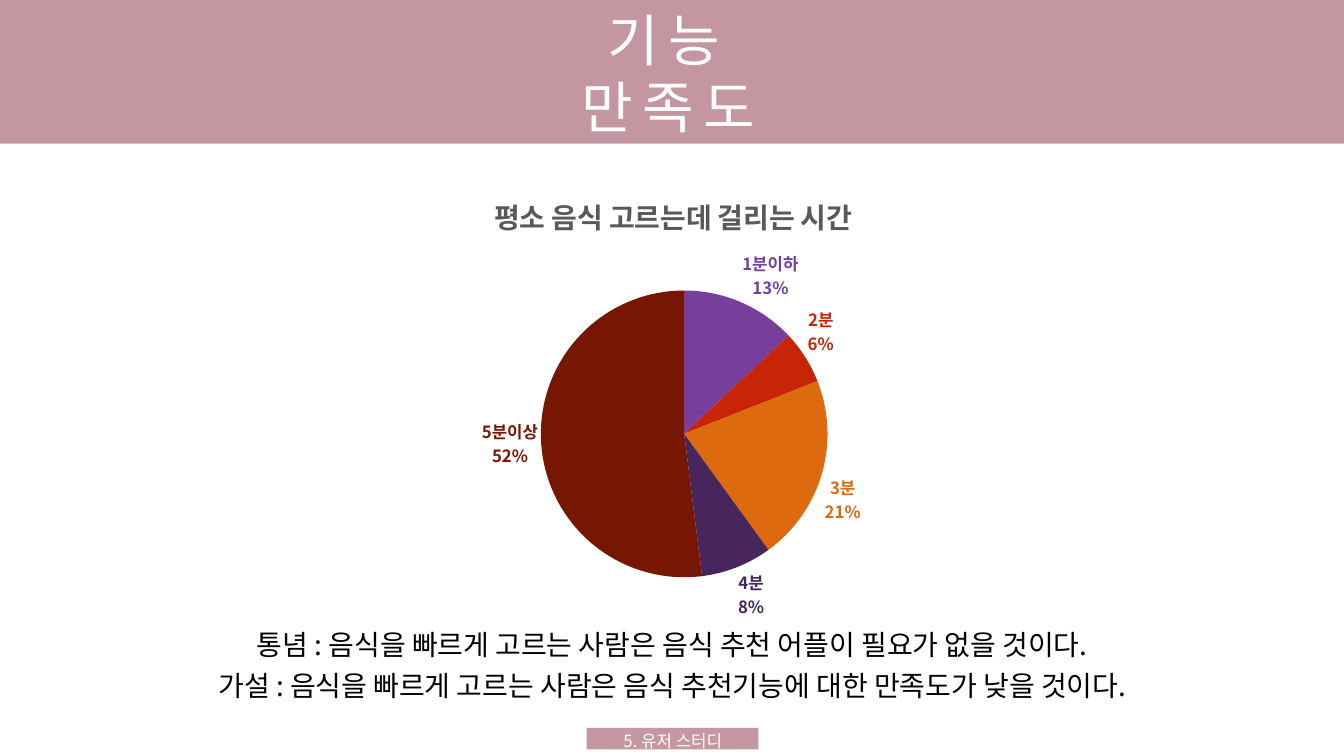
from lxml.etree import SubElement
from pptx import Presentation
from pptx.chart.data import CategoryChartData
from pptx.dml.color import RGBColor
from pptx.enum.chart import XL_CHART_TYPE, XL_LABEL_POSITION
from pptx.enum.shapes import MSO_SHAPE
from pptx.enum.text import MSO_ANCHOR, MSO_AUTO_SIZE, PP_ALIGN
from pptx.oxml.ns import qn
from pptx.util import Inches, Pt

WIDE, HIGH = 26.67, 15
FONT = "Noto Sans CJK KR"
ROSE = RGBColor(0xC4, 0x96, 0xA2)
PINK = RGBColor(0xC5, 0x97, 0xA2)
WHITE = RGBColor(0xFF, 0xFF, 0xFF)
BLACK = RGBColor(0, 0, 0)
GRAY = RGBColor(0x59, 0x59, 0x59)
# Answer, share in percent, slice colour
SLICES = [
    ("1분이하", 13, RGBColor(0x77, 0x3F, 0x9B)),
    ("2분", 6, RGBColor(0xC8, 0x25, 0x06)),
    ("3분", 21, RGBColor(0xDE, 0x6A, 0x10)),
    ("4분", 8, RGBColor(0x47, 0x26, 0x5D)),
    ("5분이상", 52, RGBColor(0x78, 0x16, 0x04)),
]
CLAIMS = [
    "통념 : 음식을 빠르게 고르는 사람은 음식 추천 어플이 필요가 없을 것이다.",
    "가설 : 음식을 빠르게 고르는 사람은 음식 추천기능에 대한 만족도가 낮을 것이다.",
]


def inch(box):
    return [Inches(n) for n in box]


def style(font, size, color, bold=False):
    font.name, font.size, font.bold = FONT, Pt(size), bold
    font.color.rgb = color


def add_bar(slide, box, color):
    bar = slide.shapes.add_shape(MSO_SHAPE.RECTANGLE, *inch(box))
    bar.shadow.inherit = False
    bar.fill.solid()
    bar.fill.fore_color.rgb = color
    bar.line.fill.background()


def add_text(slide, box, text, size, color, wrap=True, pad=0.08,
             anchor=MSO_ANCHOR.MIDDLE):
    frame = slide.shapes.add_textbox(*inch(box)).text_frame
    frame.word_wrap = wrap
    frame.auto_size = MSO_AUTO_SIZE.SHAPE_TO_FIT_TEXT
    frame.vertical_anchor = anchor
    frame.margin_left = frame.margin_right = Inches(pad)
    frame.margin_top = frame.margin_bottom = Inches(min(pad, 0.08))
    frame.text = text
    para = frame.paragraphs[0]
    para.alignment = PP_ALIGN.CENTER
    run = para.runs[0]
    style(run.font, size, color)
    for tag in ("a:ea", "a:cs"):
        SubElement(run.font._element, qn(tag)).set("typeface", FONT)
    return run


def set_place(node, after, **marks):
    """Give a chart part a manual layout, in shares of the chart."""
    place = node.find(qn("c:layout"))
    if place is None:
        place = SubElement(node, qn("c:layout"))
        node.insert(after, place)
    manual = SubElement(place, qn("c:manualLayout"))
    for tag, val in marks.items():
        SubElement(manual, qn("c:" + tag)).set("val", str(val))


def add_head(slide, box):
    left, top, width, height = box
    add_bar(slide, box, ROSE)
    spot = (left + 0.38 * width, top + 0.24 * height, 6.28, 1.5)
    run = add_text(slide, spot, "기능 만족도", 80, WHITE, wrap=False)
    run.font._element.set("spc", "1400")


def add_pie(slide, box):
    data = CategoryChartData(number_format="0")
    data.categories = [name for name, _, _ in SLICES]
    data.add_series("Series 1", [val for _, val, _ in SLICES])
    chart = slide.shapes.add_chart(
        XL_CHART_TYPE.PIE, *inch(box), data).chart
    chart.has_legend = False
    style(chart.font, 10, BLACK)

    # Title
    chart.has_title = True
    title = chart.chart_title
    title.text_frame.text = "평소 음식 고르는데 걸리는 시간"
    style(title.text_frame.paragraphs[0].runs[0].font, 40, GRAY, True)
    set_place(title._element, 1, xMode="edge", yMode="edge", x=0.18, y=0.04)

    # Slices, each with a label in its own colour
    plot = chart.plots[0]
    plot.vary_by_categories = True
    set_place(plot._element.getparent(), 0, layoutTarget="inner",
              xMode="edge", yMode="edge", x=0.27, y=0.26, w=0.5, h=0.63)
    shown = {"showVal": "0", "showCatName": "1", "showPercent": "1"}
    for i, (_, _, color) in enumerate(SLICES):
        point = plot.series[0].points[i]
        point.format.fill.solid()
        point.format.fill.fore_color.rgb = color
        point.format.line.fill.background()
        label = point.data_label
        style(label.font, 24, color, True)
        label.position = XL_LABEL_POSITION.OUTSIDE_END
    for mark in plot.series[0]._element.iter(qn("c:dLbl")):
        for tag, val in shown.items():
            mark.find(qn("c:" + tag)).set("val", val)
        SubElement(mark, qn("c:separator")).text = "\n"


def add_claims(slide, box):
    left, top, width, height = box
    row = height / len(CLAIMS)
    for i, claim in enumerate(CLAIMS):
        add_text(slide, (left, top + i * row, width, row), claim, 40, BLACK)


def add_foot(slide, box):
    left, top, width, height = box
    add_bar(slide, box, PINK)
    add_text(slide, (left - 0.04, top - 0.02, width + 0.09, 0.5),
             "5. 유저 스터디", 24, WHITE, pad=0.1, anchor=MSO_ANCHOR.TOP)


def main():
    deck = Presentation()
    deck.slide_width, deck.slide_height = Inches(WIDE), Inches(HIGH)
    slide = deck.slides.add_slide(deck.slide_layouts[6])
    add_head(slide, (-0.04, 0, WIDE + 0.08, 0.19 * HIGH))
    add_pie(slide, (7.66, 3.36, 11.38, 9.13))
    add_claims(slide, (3.63, 12.37, 19.42, 1.64))
    add_foot(slide, (11.64, 14.44, 3.41, 0.43))
    deck.save("out.pptx")


if __name__ == "__main__":
    main()
